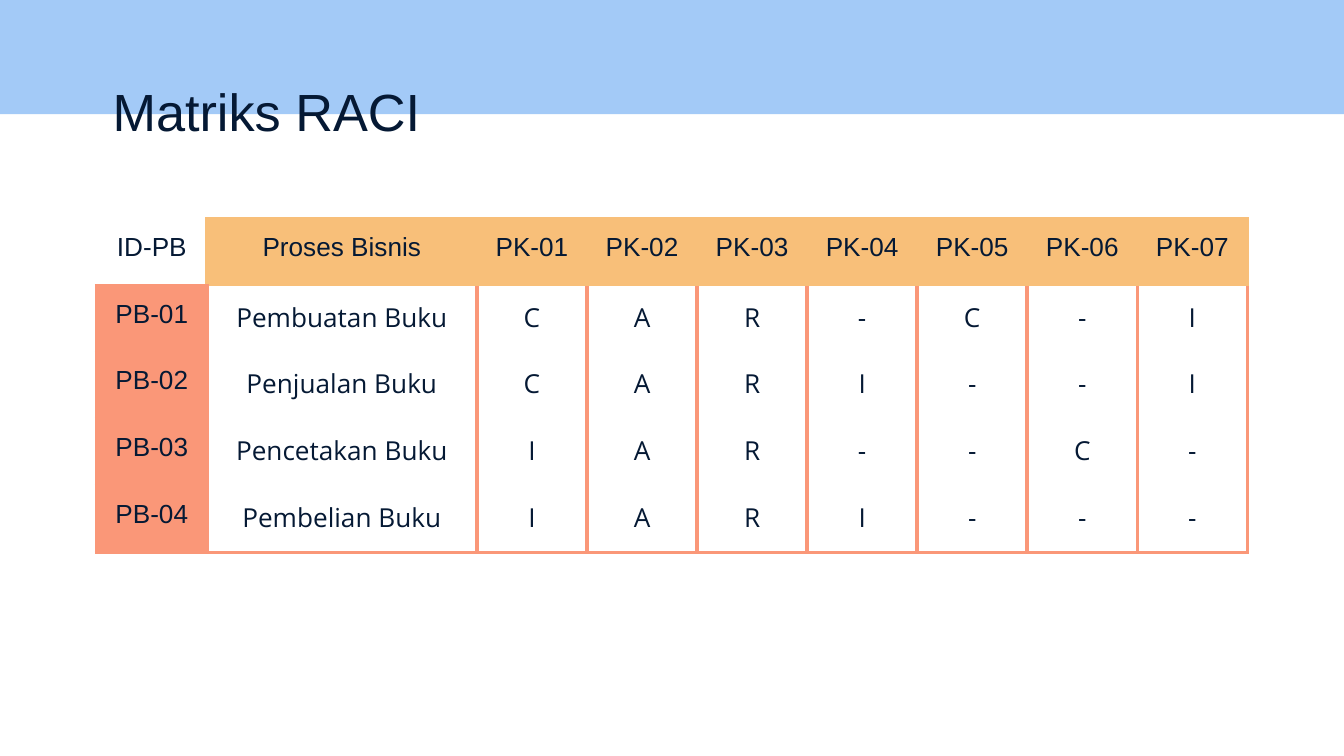
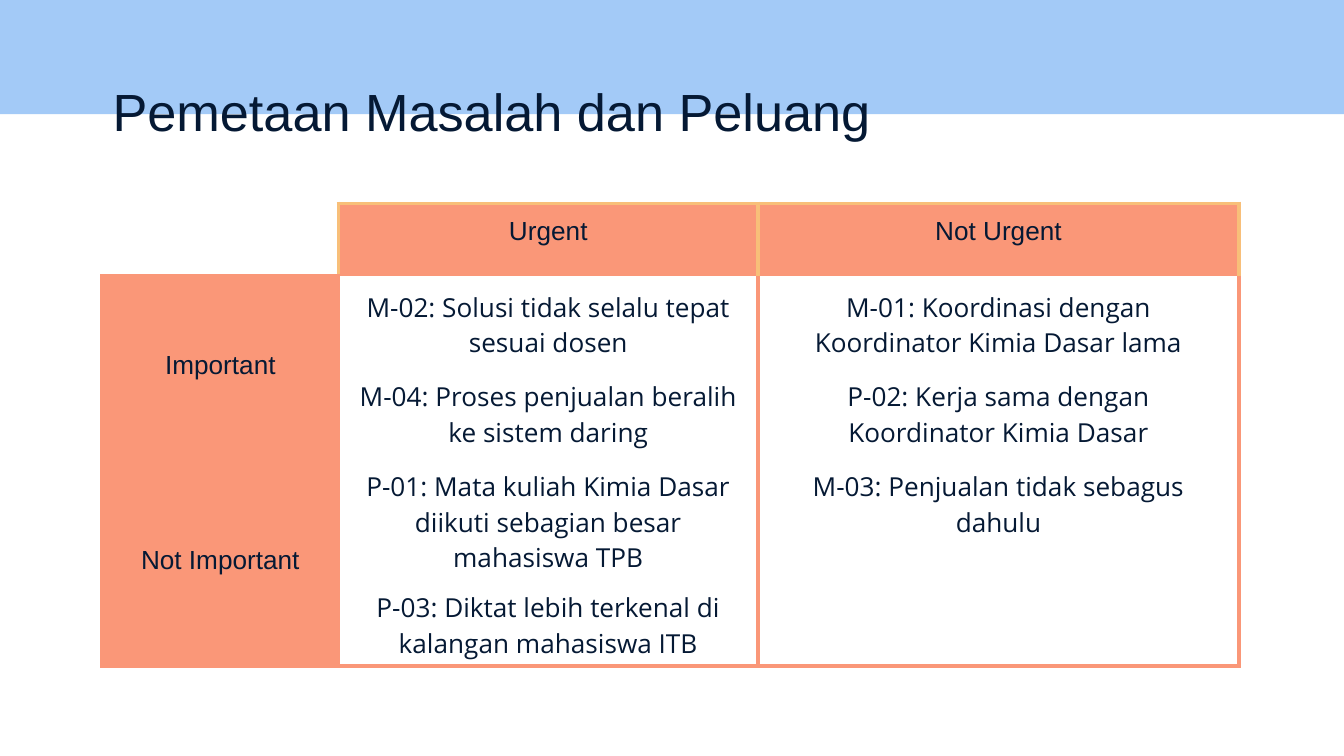
from lxml import etree
from pptx import Presentation, util as u
from pptx.dml.color import RGBColor
from pptx.enum import shapes, text
from pptx.oxml.ns import qn

NAVY, BLUE, CORAL, AMBER = "051934", "A3CAF7", "FA9778", "F8BF79"
HEAD_FONT, BODY_FONT = "Arial", "Open Sans"
NO_STYLE = "{2D5ABB26-0587-4C30-8999-92F81FD0307C}"

prs = Presentation()
prs.slide_width, prs.slide_height = u.Inches(10), u.Inches(5.625)
COL, ROW = prs.slide_width / 100, prs.slide_height / 100


def rgb(color):
    return RGBColor.from_string(color)


def set_borders(cell, sides):
    tc_pr = cell._tc.get_or_add_tcPr()
    for i, side in enumerate("LRTB"):
        ln = etree.Element(qn(f"a:ln{side}"), w=str(u.Pt(2.25)))
        if side in sides:
            fill = etree.SubElement(ln, qn("a:solidFill"))
            etree.SubElement(fill, qn("a:srgbClr"), val=sides[side])
        else:
            etree.SubElement(ln, qn("a:noFill"))
        tc_pr.insert(i, ln)


slides = [
    dict(
        title="Matriks RACI", left=7.2, top=29, head_fill=AMBER,
        cols=[8.19, 20.1] + [8.19] * 7, rows=[8.82] * 5, merges=[],
        data=[
            ["ID-PB", "Proses Bisnis"] + [f"PK-{n:02}" for n in range(1, 8)],
            ["PB-01", "Pembuatan Buku", *"CAR-C-I"],
            ["PB-02", "Penjualan Buku", *"CARI--I"],
            ["PB-03", "Pencetakan Buku", *"IAR--C-"],
            ["PB-04", "Pembelian Buku", *"IARI---"],
        ],
    ),
    dict(
        title="Pemetaan Masalah dan Peluang", left=7.6, top=26.9, head_fill=CORAL,
        cols=[17.6, 31.2, 35.8], rows=[9.6, 7.8, 6.8, 8.4, 7.6], merges=[1, 3],
        data=[
            ["", "Urgent", "Not Urgent"],
            ["Important", "M-02: Solusi tidak selalu tepat sesuai dosen",
             "M-01: Koordinasi dengan Koordinator Kimia Dasar lama"],
            ["", "M-04: Proses penjualan beralih ke sistem daring",
             "P-02: Kerja sama dengan Koordinator Kimia Dasar"],
            ["Not Important",
             "P-01: Mata kuliah Kimia Dasar diikuti sebagian besar mahasiswa TPB",
             "M-03: Penjualan tidak sebagus dahulu"],
            ["", "P-03: Diktat lebih terkenal di kalangan mahasiswa ITB", ""],
        ],
    ),
]

for spec_ in slides:
    s = prs.slides.add_slide(prs.slide_layouts[6])

    band = s.shapes.add_shape(shapes.MSO_SHAPE.RECTANGLE, 0, 0, prs.slide_width, int(15.1 * ROW))
    band.shadow.inherit = False
    band.fill.solid()
    band.fill.fore_color.rgb = rgb(BLUE)
    band.line.fill.background()

    sp = s.shapes.add_textbox(int(7.4 * COL), int(8.7 * ROW), int(77.3 * COL), int(11.2 * ROW))
    tf = sp.text_frame
    tf.word_wrap = True
    tf.margin_left = tf.margin_right = tf.margin_top = tf.margin_bottom = u.Inches(0.1)
    p = tf.paragraphs[0]
    p.text = spec_["title"]
    p.font.name, p.font.size, p.font.color.rgb = HEAD_FONT, u.Pt(28), rgb(NAVY)

    data, cols, rows = spec_["data"], spec_["cols"], spec_["rows"]
    tbl = s.shapes.add_table(
        len(rows), len(cols), int(spec_["left"] * COL), int(spec_["top"] * ROW),
        int(sum(cols) * COL), int(sum(rows) * ROW)).table
    tbl._tbl.tblPr.find(qn("a:tableStyleId")).text = NO_STYLE
    tbl.first_row = tbl.horz_banding = False
    for column, width in zip(tbl.columns, cols):
        column.width = int(width * COL)
    for row, height in zip(tbl.rows, rows):
        row.height = int(height * ROW)

    for i, row in enumerate(data):
        for j, value in enumerate(row):
            cell = tbl.cell(i, j)
            cell.margin_left = cell.margin_right = u.Inches(0.1)
            cell.margin_top = cell.margin_bottom = u.Inches(0.1)

            if i == 0 and j == 0:
                fill, sides = None, dict(R=AMBER, B=CORAL)
            elif i == 0:
                fill, sides = spec_["head_fill"], dict.fromkeys("LRT", AMBER)
            elif j == 0:
                fill, sides = CORAL, dict.fromkeys("LRTB", CORAL)
            else:
                last = i == len(data) - 1
                fill, sides = None, dict.fromkeys("LRB" if last else "LR", CORAL)
            if fill:
                cell.fill.solid()
                cell.fill.fore_color.rgb = rgb(fill)
            else:
                cell.fill.background()
            set_borders(cell, sides)

            p = cell.text_frame.paragraphs[0]
            p.text = value
            p.alignment = text.PP_ALIGN.CENTER
            p.font.name = HEAD_FONT if i == 0 or j == 0 else BODY_FONT
            p.font.size, p.font.color.rgb = u.Pt(14), rgb(NAVY)

    for i in spec_["merges"]:
        tbl.cell(i, 0).merge(tbl.cell(i + 1, 0))
        tbl.cell(i, 0).vertical_anchor = text.MSO_ANCHOR.MIDDLE

prs.save("out.pptx")
